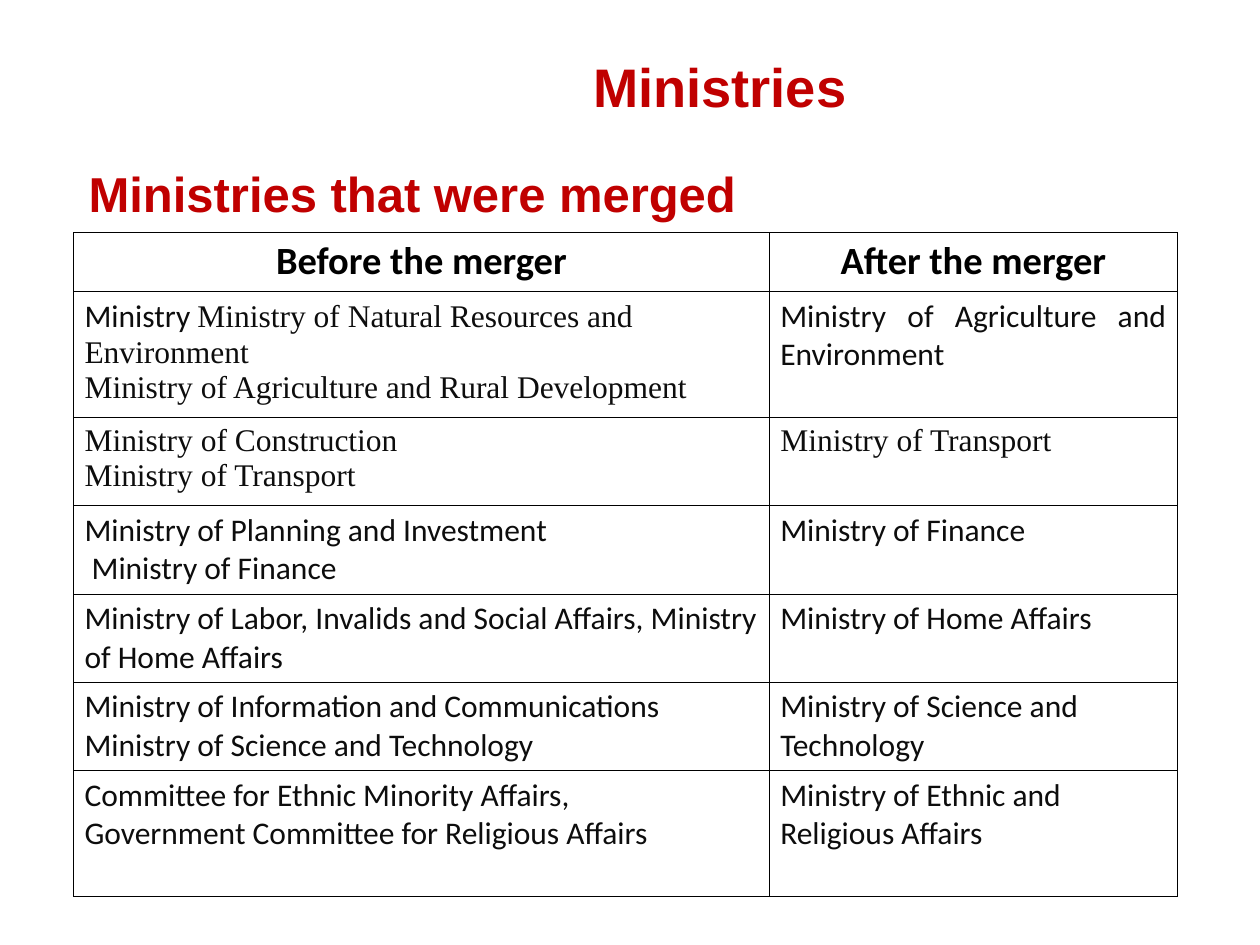
from dataclasses import dataclass

from lxml import etree
from pptx import Presentation
from pptx.dml.color import RGBColor
from pptx.enum import text
from pptx.oxml import ns
from pptx.util import Pt


@dataclass(frozen=True)
class Theme:
    red: RGBColor = RGBColor(0xC0, 0x00, 0x00)
    black: RGBColor = RGBColor(0x00, 0x00, 0x00)
    ink: RGBColor = RGBColor(0x0D, 0x0D, 0x0D)
    heading: str = "Arial"
    sans: str = "Calibri"
    serif: str = "Times New Roman"
    title_size: int = 31
    subtitle_size: int = 28
    header_size: int = 22
    body_size: int = 18
    border: float = 0.45


THEME = Theme()
SANS, SERIF = THEME.sans, THEME.serif
ALIGN = text.PP_ALIGN

HEADERS = ["Before the merger", "After the merger"]
# Each cell is a list of lines; each line is a list of (words, font) spans
MERGERS = [
    ([[("Ministry ", SANS), ("Ministry of Natural Resources and Environment", SERIF)],
      [("Ministry of Agriculture and Rural Development", SERIF)]],
     [[("Ministry of Agriculture and Environment", SANS)]]),
    ([[("Ministry of Construction", SERIF)], [("Ministry of Transport", SERIF)]],
     [[("Ministry of Transport", SERIF)]]),
    ([[("Ministry of Planning and Investment", SANS)], [(" Ministry of Finance", SANS)]],
     [[("Ministry of Finance", SANS)]]),
    ([[("Ministry of Labor, Invalids and Social Affairs, Ministry of Home Affairs", SANS)]],
     [[("Ministry of Home Affairs", SANS)]]),
    ([[("Ministry of Information and Communications", SANS)],
      [("Ministry of Science and Technology", SANS)]],
     [[("Ministry of Science and Technology", SANS)]]),
    ([[("Committee for Ethnic Minority Affairs,", SANS)],
      [("Government Committee for Religious Affairs", SANS)]],
     [[("Ministry of Ethnic and Religious Affairs", SANS)]]),
]
COLUMN_WIDTHS = [397.6, 233.2]
ROW_HEIGHTS = [33.8, 72, 50.4, 50.4, 50.4, 50.4, 72]


def set_font(font, name, size, color, bold=False):
    font.name = name
    font.size = Pt(size)
    font.color.rgb = color
    font.bold = bold


def add_title(page, words):
    title = page.shapes.title
    title.left, title.top, title.width, title.height = Pt(73), Pt(30), Pt(612), Pt(37.5)
    frame = title.text_frame
    frame.text = words
    frame.auto_size = text.MSO_AUTO_SIZE.NONE
    frame.vertical_anchor = text.MSO_ANCHOR.BOTTOM
    frame.margin_left = Pt(266)
    frame.margin_top = frame.margin_right = frame.margin_bottom = 0
    para = frame.paragraphs[0]
    para.alignment = ALIGN.LEFT
    set_font(para.font, THEME.heading, THEME.title_size, THEME.red, True)


def add_subtitle(page, words):
    box = page.shapes.add_textbox(Pt(43.6), Pt(89.8), Pt(386), Pt(39.6))
    frame = box.text_frame
    frame.word_wrap = False
    frame.auto_size = text.MSO_AUTO_SIZE.SHAPE_TO_FIT_TEXT
    frame.text = words
    para = frame.paragraphs[0]
    para.alignment = ALIGN.LEFT
    set_font(para.font, THEME.heading, THEME.subtitle_size, THEME.red, True)


def format_cell(cell):
    cell.margin_left = cell.margin_right = Pt(6.3)
    cell.margin_top = cell.margin_bottom = Pt(3.3)
    properties = cell._tc.get_or_add_tcPr()
    for side in ("a:lnL", "a:lnR", "a:lnT", "a:lnB"):
        line = etree.SubElement(properties, ns.qn(side), w=str(int(Pt(THEME.border))))
        fill = etree.SubElement(line, ns.qn("a:solidFill"))
        etree.SubElement(fill, ns.qn("a:srgbClr"), val=str(THEME.black))
    cell.fill.background()


def fill_cell(cell, lines, size, color, bold=False, align=ALIGN.LEFT):
    format_cell(cell)
    frame = cell.text_frame
    for index, spans in enumerate(lines):
        para = frame.add_paragraph() if index else frame.paragraphs[0]
        para.alignment = align
        set_font(para.font, spans[0][1], size, color, bold)
        for words, font_name in spans:
            span = para.add_run()
            span.text = words
            set_font(span.font, font_name, size, color, bold)


def add_merger_table(page):
    table = page.shapes.add_table(
        len(ROW_HEIGHTS), len(COLUMN_WIDTHS), Pt(42), Pt(132.8),
        Pt(sum(COLUMN_WIDTHS)), Pt(sum(ROW_HEIGHTS))).table
    table.first_row = table.horz_banding = False
    for column, width in zip(table.columns, COLUMN_WIDTHS):
        column.width = Pt(width)
    for row, height in zip(table.rows, ROW_HEIGHTS):
        row.height = Pt(height)

    # Header row
    for column, words in enumerate(HEADERS):
        fill_cell(table.cell(0, column), [[(words, SANS)]], THEME.header_size,
                  THEME.black, True, ALIGN.CENTER)

    # One row per merger
    for row, merger in enumerate(MERGERS, 1):
        for column, lines in enumerate(merger):
            align = ALIGN.JUSTIFY if (row, column) == (1, 1) else ALIGN.LEFT
            fill_cell(table.cell(row, column), lines, THEME.body_size,
                      THEME.ink, align=align)


def main():
    deck = Presentation()
    deck.slide_width, deck.slide_height = Pt(720), Pt(540)
    page = deck.slides.add_slide(deck.slide_layouts[5])
    add_title(page, "Ministries")
    add_subtitle(page, "Ministries that were merged")
    add_merger_table(page)
    deck.save("out.pptx")


if __name__ == "__main__":
    main()
